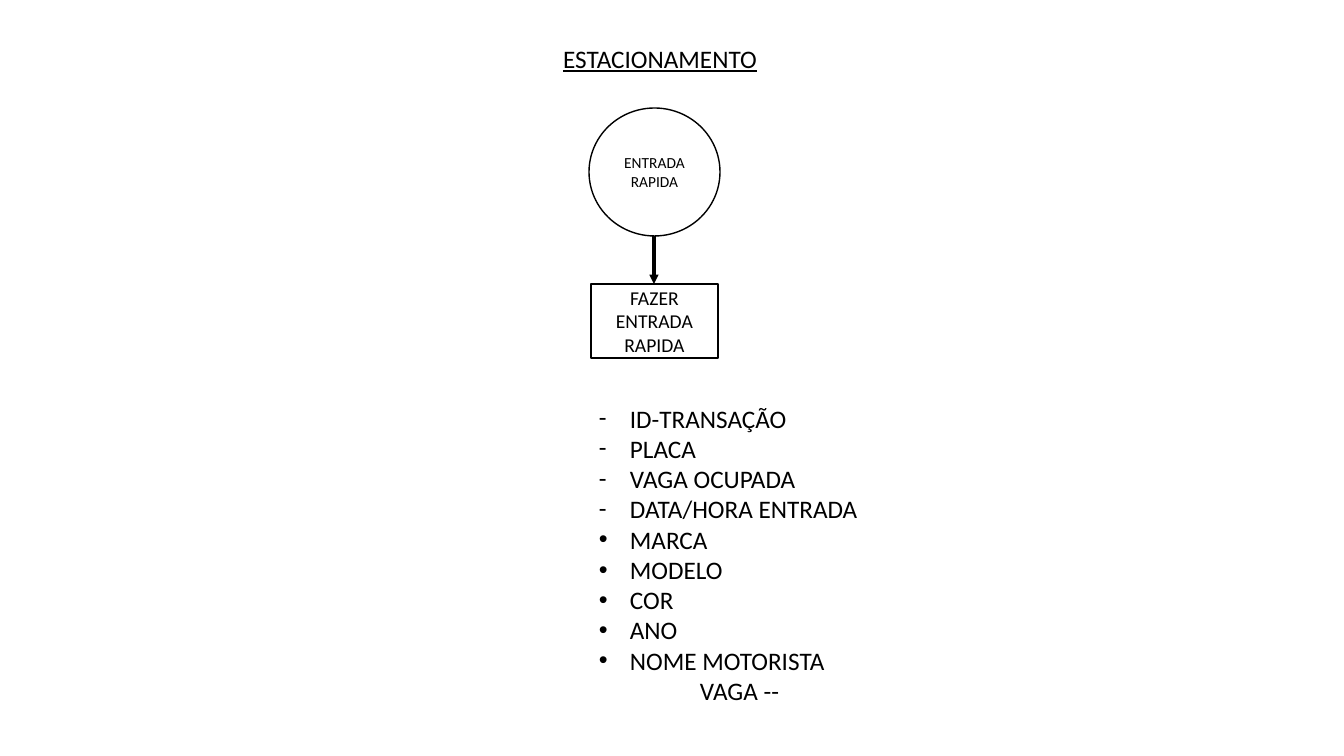
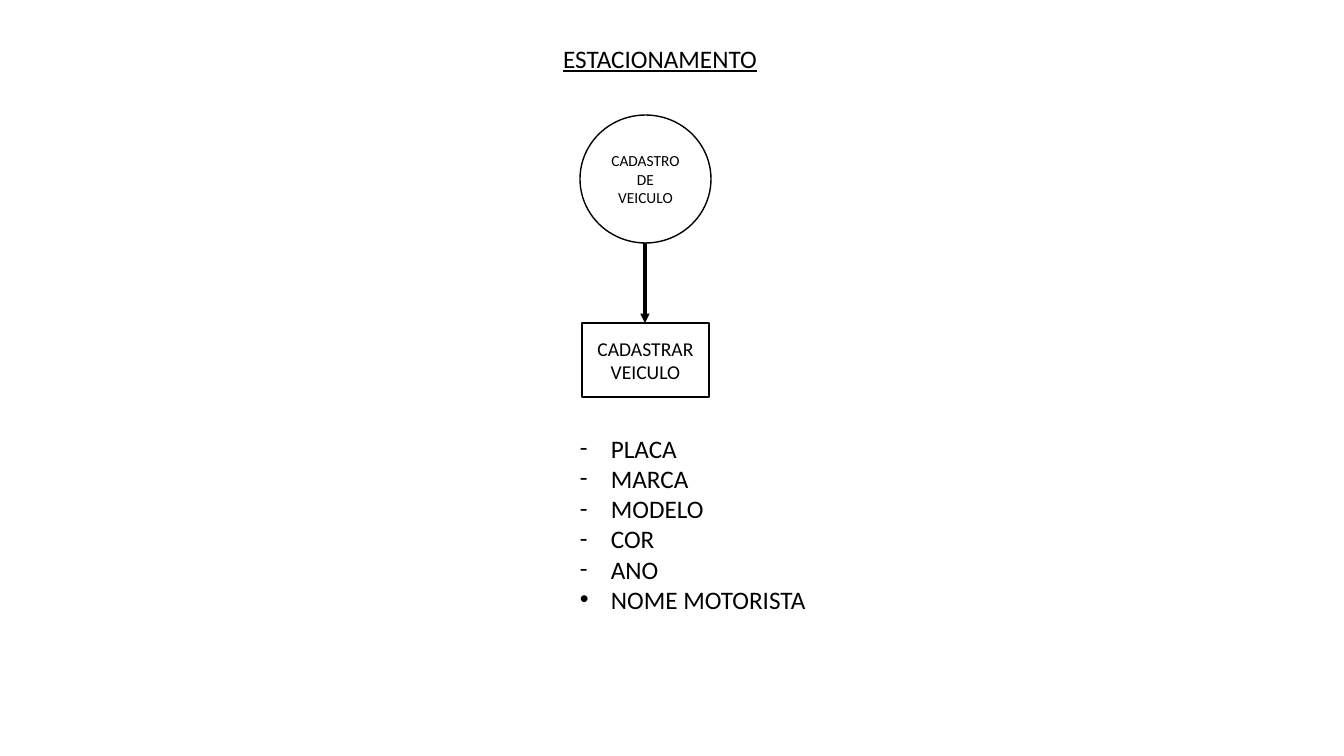
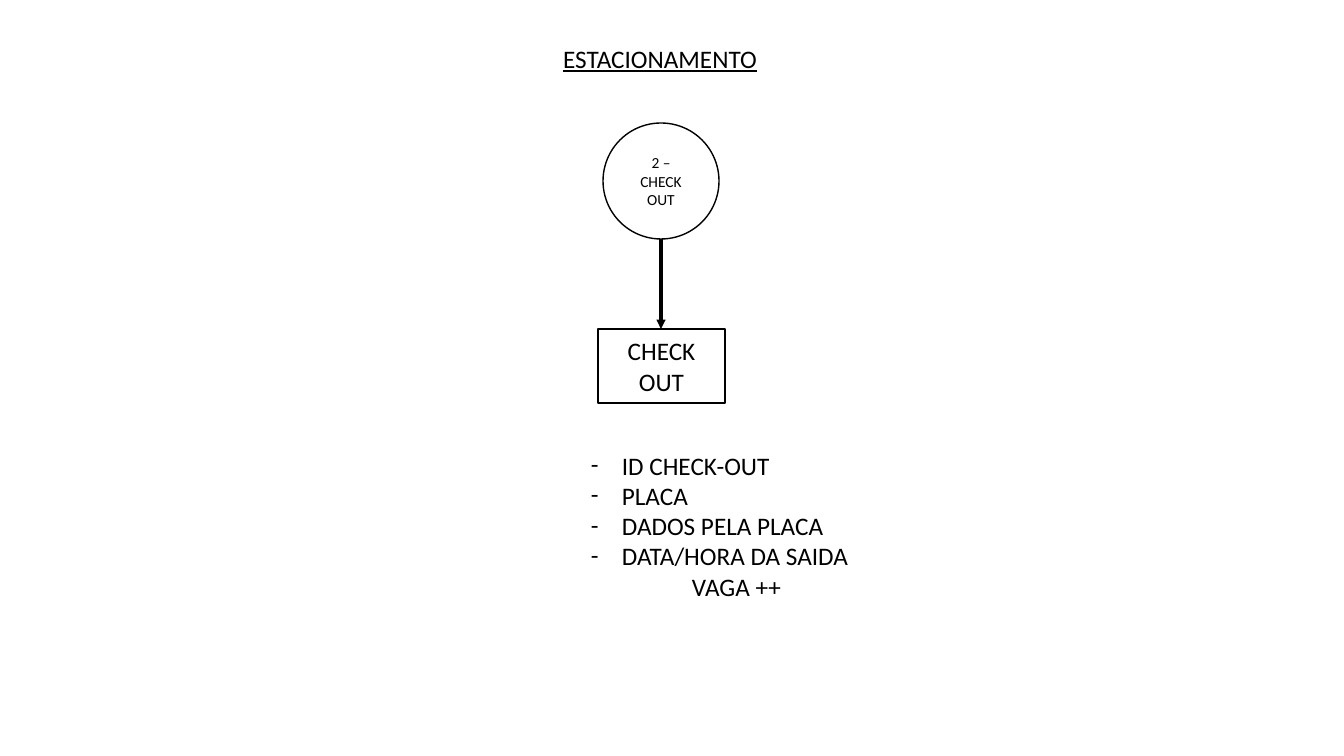
from dataclasses import dataclass

from lxml import etree
from pptx import Presentation
from pptx.dml.color import RGBColor
from pptx.enum.shapes import MSO_CONNECTOR, MSO_SHAPE
from pptx.enum.text import MSO_ANCHOR, MSO_AUTO_SIZE, PP_ALIGN
from pptx.oxml.ns import qn
from pptx.shapes.autoshape import Shape
from pptx.slide import Slide
from pptx.text.text import TextFrame
from pptx.util import Emu, Pt

# Shared style
PX = 914400 / 100.8
COLORS = {"ink": "000000", "paper": "FFFFFF"}
FONT = "Calibri"
BULLET_FONTS = {"-": FONT, "•": "Arial"}
LEFT, CENTER = PP_ALIGN.LEFT, PP_ALIGN.CENTER
TOP, MIDDLE = MSO_ANCHOR.TOP, MSO_ANCHOR.MIDDLE
FIT_SHAPE = MSO_AUTO_SIZE.SHAPE_TO_FIT_TEXT
OVAL, RECTANGLE = MSO_SHAPE.OVAL, MSO_SHAPE.RECTANGLE
STRAIGHT = MSO_CONNECTOR.STRAIGHT

# Shared layout, in pixels
SLIDE_SIZE = (1344, 756)
TITLE = "ESTACIONAMENTO"
TITLE_AREA = (372, 38, 576, 40)
ACTION_SIZE = (127, 74)
HANGING_INDENT = 31
NOTE_INDENT = 101

Area = tuple[int, int, int, int]


@dataclass(frozen=True)
class Field:
    text: str
    bullet: str = ""


@dataclass(frozen=True)
class Flow:
    center: int
    event: str
    event_top: int
    event_size: tuple[int, int]
    action: str
    action_top: int
    action_font: int
    fields_area: Area
    fields: tuple[Field, ...]


def bulleted(bullet: str, *texts: str) -> tuple[Field, ...]:
    return tuple(Field(text, bullet) for text in texts)


FLOWS = (
    Flow(
        654, "ENTRADA RAPIDA", 108, (131, 128),
        "FAZER ENTRADA RAPIDA", 284, 14,
        (589, 398, 323, 316),
        bulleted("-", "ID-TRANSAÇÃO", "PLACA", "VAGA OCUPADA", "DATA/HORA ENTRADA")
        + bulleted("•", "MARCA", "MODELO", "COR", "ANO", "NOME MOTORISTA")
        + (Field("VAGA --"),),
    ),
    Flow(
        645, "CADASTRO DE VEICULO", 115, (131, 128),
        "CADASTRAR VEICULO", 323, 14,
        (570, 428, 277, 194),
        bulleted("-", "PLACA", "MARCA", "MODELO", "COR", "ANO")
        + bulleted("•", "NOME MOTORISTA"),
    ),
    Flow(
        661, "2 – CHECK OUT", 123, (116, 116),
        "CHECK OUT", 329, 18,
        (581, 445, 366, 163),
        bulleted("-", "ID CHECK-OUT", "PLACA", "DADOS PELA PLACA", "DATA/HORA DA SAIDA")
        + (Field("VAGA ++"),),
    ),
)


def px(length: int) -> Emu:
    return Emu(round(length * PX))


def color(name: str) -> RGBColor:
    return RGBColor.from_string(COLORS[name])


def indent(properties: etree._Element, field: Field) -> None:
    """Hang a bulleted field, or push a plain note to the right."""
    margin = HANGING_INDENT if field.bullet else NOTE_INDENT
    properties.set("marL", str(px(margin)))
    properties.set("indent", str(-px(margin) if field.bullet else 0))
    if field.bullet:
        font = etree.SubElement(properties, qn("a:buFont"))
        font.set("typeface", BULLET_FONTS[field.bullet])
        etree.SubElement(properties, qn("a:buChar")).set("char", field.bullet)


def write(frame: TextFrame, *fields: Field, size: int = 18, align: PP_ALIGN = LEFT,
          anchor: MSO_ANCHOR = TOP, underline: bool = False, listed: bool = False) -> None:
    frame.word_wrap = True
    frame.vertical_anchor = anchor
    for number, field in enumerate(fields):
        paragraph = frame.add_paragraph() if number else frame.paragraphs[0]
        paragraph.alignment = align
        if listed:
            indent(paragraph._p.get_or_add_pPr(), field)
        run = paragraph.add_run()
        run.text = field.text
        run.font.name = FONT
        run.font.size = Pt(size)
        run.font.underline = underline
        run.font.color.rgb = color("ink")


def add_text_area(slide: Slide, area: Area) -> TextFrame:
    frame = slide.shapes.add_textbox(*map(px, area)).text_frame
    frame.auto_size = FIT_SHAPE
    return frame


def add_node(slide: Slide, kind: MSO_SHAPE, area: Area, text: str, size: int) -> Shape:
    node = slide.shapes.add_shape(kind, *map(px, area))
    node.shadow.inherit = False
    node.line.color.rgb = color("ink")
    node.line.width = Pt(1)
    write(node.text_frame, Field(text), size=size, align=CENTER, anchor=MIDDLE)
    return node


def add_arrow(slide: Slide, x: int, top: int, bottom: int) -> None:
    arrow = slide.shapes.add_connector(STRAIGHT, px(x), px(top), px(x), px(bottom))
    arrow.line.color.rgb = color("ink")
    arrow.line.width = Pt(2.25)
    etree.SubElement(arrow.line._ln, qn("a:tailEnd")).set("type", "triangle")
    etree.SubElement(arrow._element.spPr, qn("a:effectLst"))


def add_flow(slide: Slide, flow: Flow) -> None:
    # Title
    write(add_text_area(slide, TITLE_AREA), Field(TITLE), align=CENTER, underline=True)

    # Event, arrow and action share one vertical axis
    width, height = flow.event_size
    event_area = (flow.center - width // 2, flow.event_top, width, height)
    event = add_node(slide, OVAL, event_area, flow.event, 11)
    event.fill.background()
    add_arrow(slide, flow.center, flow.event_top + height, flow.action_top)
    action_area = (flow.center - ACTION_SIZE[0] // 2, flow.action_top, *ACTION_SIZE)
    action = add_node(slide, RECTANGLE, action_area, flow.action, flow.action_font)
    action.fill.solid()
    action.fill.fore_color.rgb = color("paper")

    # Recorded fields
    write(add_text_area(slide, flow.fields_area), *flow.fields, listed=True)


def main() -> None:
    deck = Presentation()
    deck.slide_width, deck.slide_height = map(px, SLIDE_SIZE)
    blank = deck.slide_layouts[6]
    for flow in FLOWS:
        add_flow(deck.slides.add_slide(blank), flow)
    deck.save("out.pptx")


main()
